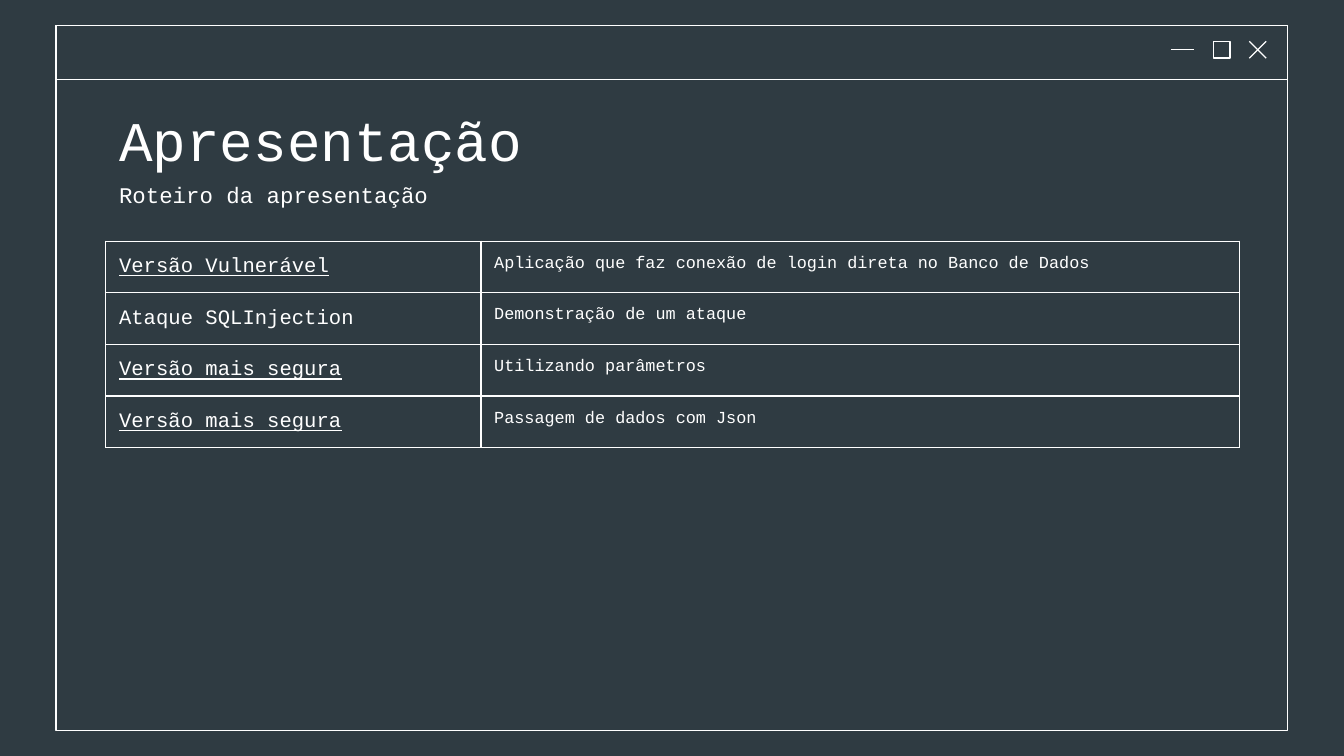
"""Builds the agenda slide: a window frame, a title, a subtitle and a table."""
from dataclasses import dataclass

from lxml import etree
from pptx import Presentation
from pptx.dml.color import RGBColor
from pptx.enum import shapes, text
from pptx.oxml.ns import qn
from pptx.util import Cm, Pt

TITLE = "Apresentação"
SUBTITLE = "Roteiro da apresentação"
AGENDA = [
    ("Versão Vulnerável", "Aplicação que faz conexão de login direta no Banco de Dados", True),
    ("Ataque SQLInjection", "Demonstração de um ataque", False),
    ("Versão mais segura", "Utilizando parâmetros", True),
    ("Versão mais segura", "Passagem de dados com Json", True),
]


@dataclass(frozen=True)
class Theme:
    """Colours, font and sizes of the slide."""
    background: RGBColor = RGBColor(0x2F, 0x3B, 0x42)
    ink: RGBColor = RGBColor(0xFF, 0xFF, 0xFF)
    font: str = "Courier New"
    title: float = 30
    subtitle: float = 12
    topic: float = 11
    detail: float = 9
    line: float = 0.75
    leading: float = 1.2


THEME = Theme()
INSET = 0.25
LEFT = 2.0
COLUMNS = (7.09, 14.33)
CONTENT_WIDTH = sum(COLUMNS)
ROW = 0.975
TABLE_TOP = 4.56
FRAME_LEFT, FRAME_TOP, FRAME_WIDTH = 1.06, 0.48, 23.28
FRAME_HEIGHT, BAR_HEIGHT = 13.33, 1.03
ICON = 0.32
ICON_TOP = 0.78
MINIMISE, MINIMISE_WIDTH, MAXIMISE, CLOSE = 22.13, 0.44, 22.93, 23.61


def write(frame, words, size, underline=False):
    """Fill a text frame or cell with one styled paragraph."""
    paragraph = frame.paragraphs[0]
    paragraph.text = words
    paragraph.alignment = text.PP_ALIGN.LEFT
    font = paragraph.font
    font.name, font.size, font.color.rgb = THEME.font, Pt(size), THEME.ink
    font.underline = underline
    return paragraph


def write_heading(frame, words, size):
    """Set a heading that starts at the top of its box."""
    frame.word_wrap = True
    frame.auto_size = text.MSO_AUTO_SIZE.NONE
    frame.vertical_anchor = text.MSO_ANCHOR.TOP
    frame.margin_left = frame.margin_right = Cm(INSET)
    frame.margin_top = frame.margin_bottom = Cm(INSET)
    write(frame, words, size).line_spacing = THEME.leading


def outline(slide, left, top, width, height):
    """Draw an unfilled rectangle."""
    box = slide.shapes.add_shape(
        shapes.MSO_SHAPE.RECTANGLE, Cm(left), Cm(top), Cm(width), Cm(height))
    box.shadow.inherit = False
    box.fill.background()
    box.line.color.rgb, box.line.width = THEME.ink, Pt(THEME.line)


def stroke(slide, x1, y1, x2, y2):
    """Draw a straight line."""
    line = slide.shapes.add_connector(
        shapes.MSO_CONNECTOR.STRAIGHT, Cm(x1), Cm(y1), Cm(x2), Cm(y2))
    line.line.color.rgb, line.line.width = THEME.ink, Pt(THEME.line)
    etree.SubElement(line._element.spPr, qn("a:effectLst"))


def add_window(slide):
    """Draw the window frame, its bar and its three buttons."""
    for height in (FRAME_HEIGHT, BAR_HEIGHT):
        outline(slide, FRAME_LEFT, FRAME_TOP, FRAME_WIDTH, height)
    bottom, middle = ICON_TOP + ICON, ICON_TOP + ICON / 2
    stroke(slide, MINIMISE, middle, MINIMISE + MINIMISE_WIDTH, middle)
    outline(slide, MAXIMISE, ICON_TOP, ICON, ICON)
    stroke(slide, CLOSE, ICON_TOP, CLOSE + ICON, bottom)
    stroke(slide, CLOSE + ICON, ICON_TOP, CLOSE, bottom)


def add_borders(cell):
    """Give a cell a thin line on all four sides."""
    properties = cell._tc.get_or_add_tcPr()
    for position, side in enumerate(("a:lnL", "a:lnR", "a:lnT", "a:lnB")):
        border = etree.Element(qn(side), w=str(Pt(THEME.line)))
        fill = etree.SubElement(border, qn("a:solidFill"))
        etree.SubElement(fill, qn("a:srgbClr"), val=str(THEME.ink))
        properties.insert(position, border)


def add_agenda(slide):
    """Build the table of topics and details."""
    agenda = slide.shapes.add_table(
        len(AGENDA), len(COLUMNS), Cm(LEFT), Cm(TABLE_TOP),
        Cm(CONTENT_WIDTH), Cm(ROW * len(AGENDA))).table
    agenda.first_row = agenda.horz_banding = False
    for column, width in zip(agenda.columns, COLUMNS):
        column.width = Cm(width)
    for row, (topic, detail, linked) in zip(agenda.rows, AGENDA):
        row.height = Cm(ROW)
        topic_cell, detail_cell = row.cells
        for cell in (topic_cell, detail_cell):
            cell.fill.background()
            cell.margin_left = cell.margin_right = Cm(INSET)
            cell.margin_top = cell.margin_bottom = Cm(INSET)
            add_borders(cell)
        topic_cell.vertical_anchor = text.MSO_ANCHOR.MIDDLE
        detail_cell.vertical_anchor = text.MSO_ANCHOR.TOP
        write(topic_cell.text_frame, topic, THEME.topic, linked)
        write(detail_cell.text_frame, detail, THEME.detail)


def main():
    """Assemble and save the slide."""
    deck = Presentation()
    deck.slide_width, deck.slide_height = Cm(25.4), Cm(14.29)
    slide = deck.slides.add_slide(deck.slide_layouts[5])
    slide.background.fill.solid()
    slide.background.fill.fore_color.rgb = THEME.background
    add_window(slide)
    title = slide.shapes.title
    title.left, title.top = Cm(LEFT), Cm(1.5)
    title.width, title.height = Cm(CONTENT_WIDTH), Cm(1.6)
    write_heading(title.text_frame, TITLE, THEME.title)
    subtitle = slide.shapes.add_textbox(Cm(LEFT), Cm(3.08), Cm(CONTENT_WIDTH), Cm(0.91))
    write_heading(subtitle.text_frame, SUBTITLE, THEME.subtitle)
    add_agenda(slide)
    deck.save("out.pptx")


if __name__ == "__main__":
    main()
